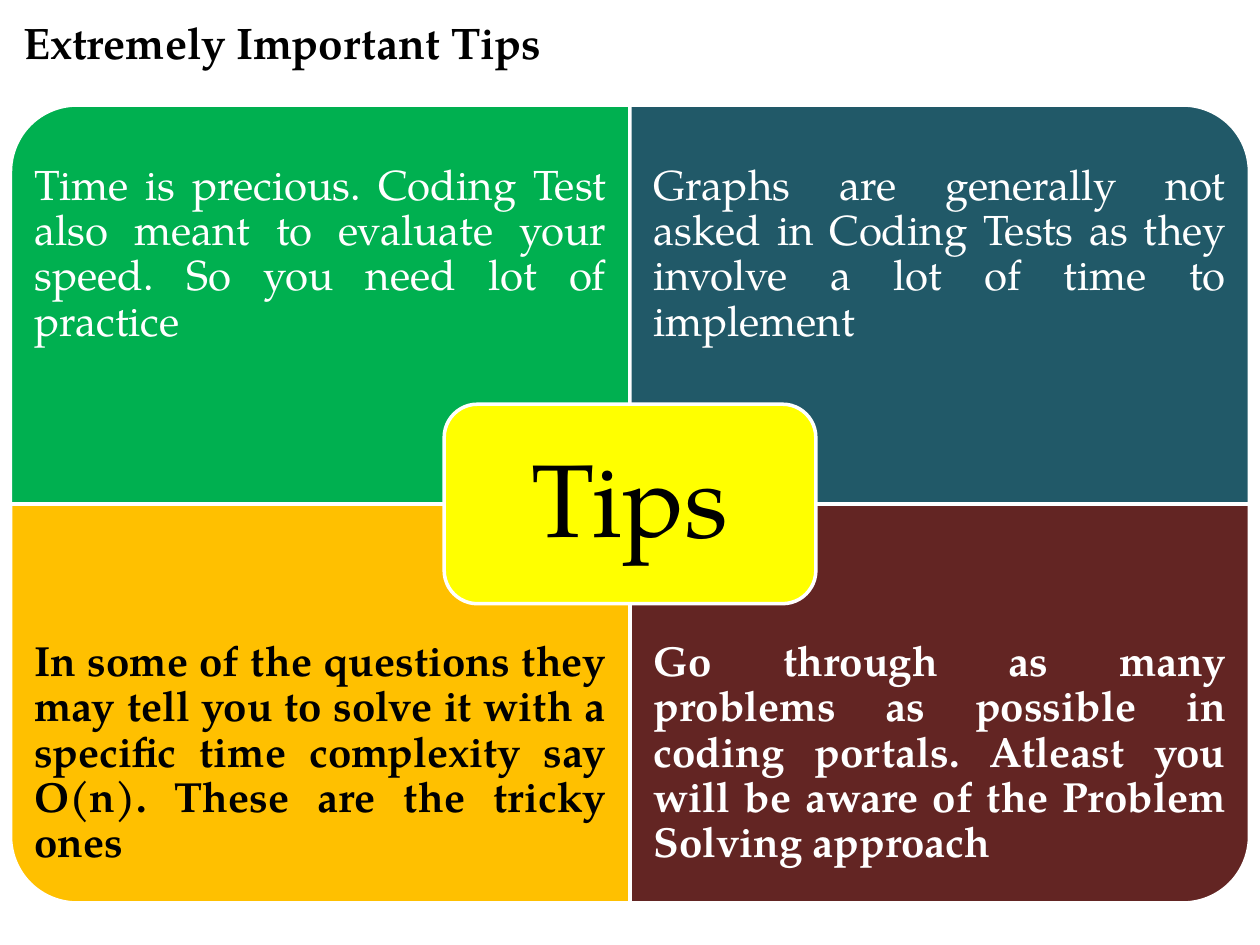
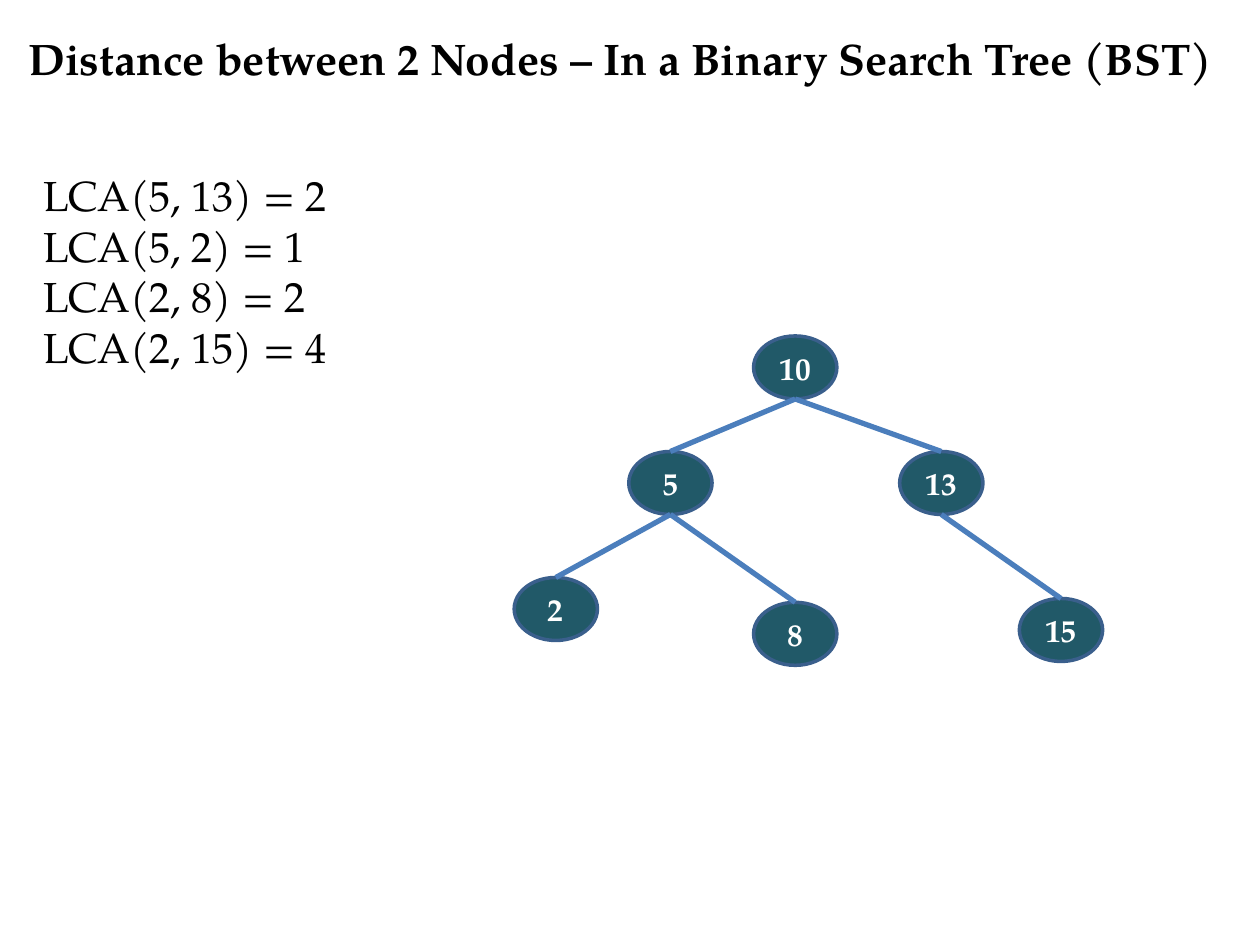
import pptx
import pptx.util
import pptx.dml.color
import pptx.enum.shapes
import pptx.enum.text
import pptx.oxml.ns
import lxml.etree

Pt = pptx.util.Pt
RGBColor = pptx.dml.color.RGBColor
SHAPE = pptx.enum.shapes.MSO_SHAPE
ALIGN = pptx.enum.text.PP_ALIGN
ANCHOR = pptx.enum.text.MSO_ANCHOR

FONT = "TeX Gyre Pagella"
BLACK = RGBColor(0x00, 0x00, 0x00)
WHITE = RGBColor(0xFF, 0xFF, 0xFF)
GREEN = RGBColor(0x00, 0xB0, 0x50)
TEAL = RGBColor(0x21, 0x59, 0x68)
AMBER = RGBColor(0xFF, 0xC0, 0x00)
MAROON = RGBColor(0x63, 0x25, 0x23)
YELLOW = RGBColor(0xFF, 0xFF, 0x00)
NODE_LINE = RGBColor(0x3A, 0x5F, 0x8C)
EDGE_BLUE = RGBColor(0x4B, 0x7E, 0xBC)


def write(box, text, size=24, color=BLACK, bold=False, align=ALIGN.LEFT,
          anchor=ANCHOR.MIDDLE, insets=(7.2, 3.6), spacing=1.0, wrap=True):
    """Fill a box with text, one paragraph per line."""
    frame = box.text_frame
    frame.word_wrap = wrap
    frame.auto_size = pptx.enum.text.MSO_AUTO_SIZE.NONE
    frame.vertical_anchor = anchor
    frame.margin_left = frame.margin_right = Pt(insets[0])
    frame.margin_top = frame.margin_bottom = Pt(insets[1])
    frame.text = text
    for para in frame.paragraphs:
        para.alignment = align
        para.line_spacing = spacing
        for span in para.runs:
            span.font.name = FONT
            span.font.size = Pt(size)
            span.font.bold = bold
            span.font.color.rgb = color


def add_filled(page, kind, left, top, width, height, fill, line):
    """Add a flat preset shape with a 2 pt outline."""
    shape = page.shapes.add_shape(kind, Pt(left), Pt(top), Pt(width), Pt(height))
    shape.shadow.inherit = False
    shape.fill.solid()
    shape.fill.fore_color.rgb = fill
    shape.line.color.rgb = line
    shape.line.width = Pt(2)
    return shape


deck = pptx.Presentation()
deck.slide_width, deck.slide_height = Pt(720), Pt(540)

# Both slides with their titles
pages = []
for text, left, top, width, height in [
    ("Extremely Important Tips", 6, 6, 696, 36),
    ("Distance between 2 Nodes – In a Binary Search Tree (BST)", 9, 14, 702, 38),
]:
    page = deck.slides.add_slide(deck.slide_layouts[5])
    title = page.shapes.title
    title.left, title.top, title.width, title.height = Pt(left), Pt(top), Pt(width), Pt(height)
    write(title, text, size=25.2, bold=True)
    pages.append(page)
tips_page, tree_page = pages

# Slide 1: four panels around the centre, each with its outer corner rounded
CENTER_X, CENTER_Y = 360, 288
PANEL_W, PANEL_H, PANEL_TEXT_H = 354, 228, 171
panels = [
    (0, 0, 270, GREEN, WHITE, False,
     "Time is precious. Coding Test also meant to evaluate your speed. "
     "So you need lot of practice"),
    (1, 0, 0, TEAL, WHITE, False,
     "Graphs are generally not asked in Coding Tests as they involve "
     "a lot of time to implement"),
    (0, 1, 180, AMBER, BLACK, True,
     "In some of the questions they may tell you to solve it with a specific "
     "time complexity say O(n). These are the tricky ones"),
    (1, 1, 90, MAROON, WHITE, True,
     "Go through as many problems as possible in coding portals. "
     "Atleast you will be aware of the Problem Solving approach"),
]
for column, row, turn, fill, color, bold, text in panels:
    left = CENTER_X + (column - 1) * PANEL_W
    top = CENTER_Y + (row - 1) * PANEL_H
    # A quarter turn swaps width and height about the panel's middle
    width, height = (PANEL_H, PANEL_W) if turn % 180 else (PANEL_W, PANEL_H)
    panel = add_filled(tips_page, SHAPE.ROUND_1_RECTANGLE,
                       left + (PANEL_W - width) / 2, top + (PANEL_H - height) / 2,
                       width, height, fill, WHITE)
    panel.rotation = turn
    text_top = top + row * (PANEL_H - PANEL_TEXT_H)
    box = tips_page.shapes.add_textbox(Pt(left), Pt(text_top), Pt(PANEL_W), Pt(PANEL_TEXT_H))
    write(box, text, color=color, bold=bold, align=ALIGN.JUSTIFY,
          insets=(13.65, 13.65), spacing=0.9)

# Centre label
LABEL_W, LABEL_H = 212.4, 114
label = add_filled(tips_page, SHAPE.ROUNDED_RECTANGLE, CENTER_X - LABEL_W / 2,
                   CENTER_Y - LABEL_H / 2, LABEL_W, LABEL_H, YELLOW, WHITE)
write(label, "Tips", size=59, align=ALIGN.CENTER, insets=(18, 18), spacing=0.9)

# Slide 2: worked distances
distances = tree_page.shapes.add_textbox(Pt(18), Pt(93.6), Pt(692), Pt(432))
write(distances, "LCA(5, 13) = 2\nLCA(5, 2) = 1\nLCA(2, 8) = 2\nLCA(2, 15) = 4",
      anchor=ANCHOR.TOP)

# Tree nodes: value -> middle of the top edge
NODE_W, NODE_H = 47.6, 36
nodes = {
    10: (454.4, 192),
    5: (383.1, 258),
    2: (317.6, 330),
    13: (537.9, 258),
    8: (454.4, 344.2),
    15: (606.3, 342),
}
for value, (middle, top) in nodes.items():
    node = add_filled(tree_page, SHAPE.OVAL, middle - NODE_W / 2, top,
                      NODE_W, NODE_H, TEAL, NODE_LINE)
    write(node, str(value), size=18, color=WHITE, bold=True, align=ALIGN.CENTER,
          insets=(0, 3.6), wrap=False)

# Tree edges: from the bottom of the parent to the top of the child
for parent, child in [(10, 13), (13, 15), (5, 8), (5, 2), (10, 5)]:
    start_x, start_y = nodes[parent]
    end_x, end_y = nodes[child]
    edge = tree_page.shapes.add_connector(
        pptx.enum.shapes.MSO_CONNECTOR.STRAIGHT,
        Pt(start_x), Pt(start_y + NODE_H), Pt(end_x), Pt(end_y))
    edge.line.color.rgb = EDGE_BLUE
    edge.line.width = Pt(3)
    lxml.etree.SubElement(edge._element.spPr, pptx.oxml.ns.qn("a:effectLst"))

deck.save("out.pptx")
